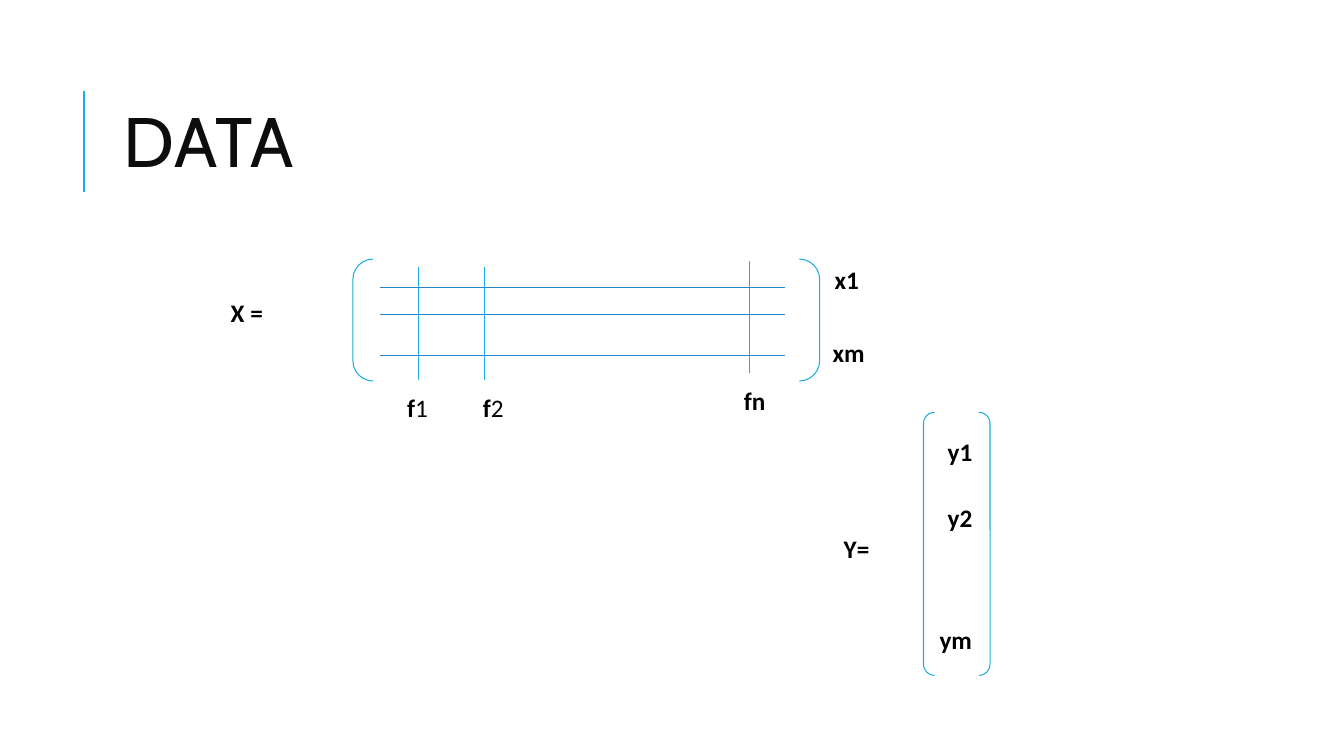
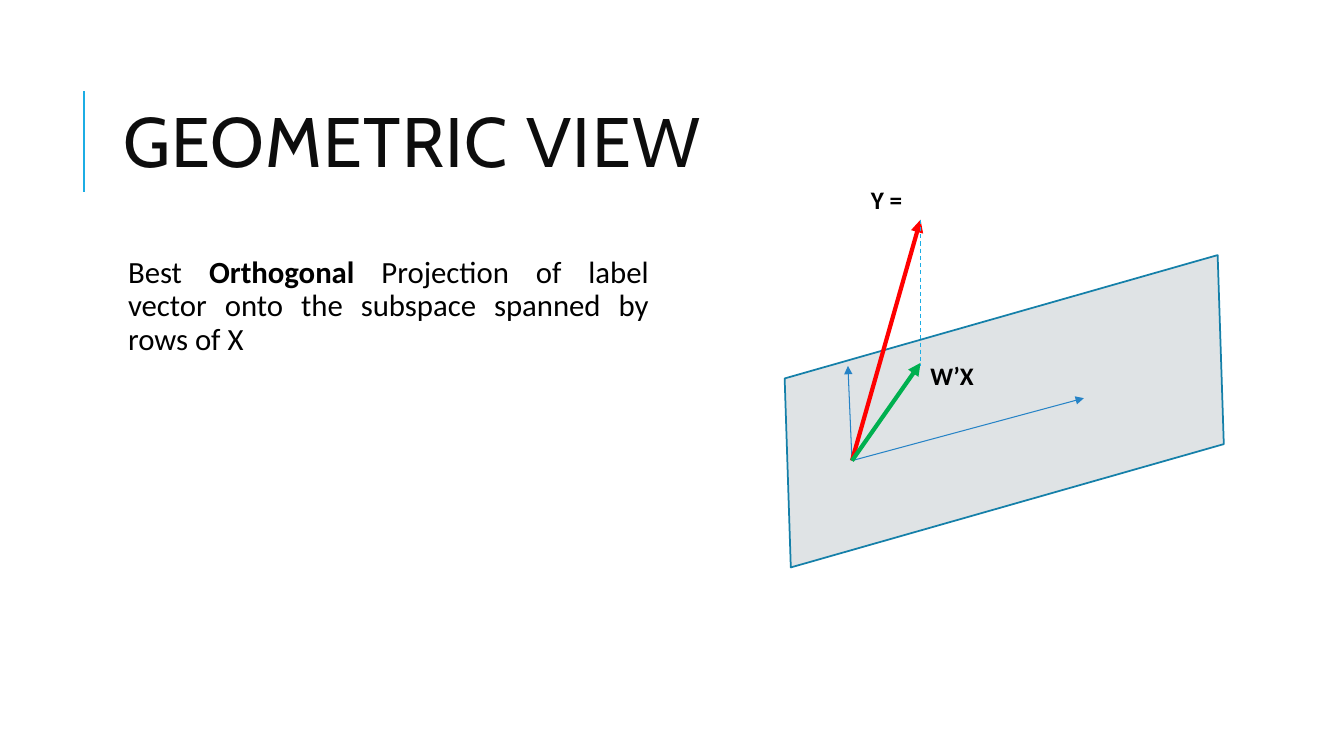
from lxml.etree import SubElement
from pptx import Presentation
from pptx.dml.color import RGBColor
from pptx.enum.dml import MSO_LINE
from pptx.enum.shapes import MSO_CONNECTOR, MSO_SHAPE, PP_PLACEHOLDER
from pptx.enum.text import MSO_ANCHOR, MSO_AUTO_SIZE, PP_ALIGN
from pptx.oxml.ns import qn
from pptx.util import Pt

EMU_PER_PX = 9144
CYAN = RGBColor(0x1C, 0xAD, 0xE4)
BLUE = RGBColor(0x26, 0x83, 0xC6)
TEAL = RGBColor(0x15, 0x80, 0xA9)
RED = RGBColor(0xFF, 0x00, 0x00)
GREEN = RGBColor(0x00, 0xB0, 0x50)
PALE_GREY = RGBColor(0xDF, 0xE3, 0xE5)
NEAR_BLACK = RGBColor(0x0D, 0x0D, 0x0D)
BLACK = RGBColor(0x00, 0x00, 0x00)
TITLE_FONT = "Cabin"
TEXT_FONT = "Calibri"
TITLE_FRAME = (112, 64, 1063, 164)
BODY_FRAME = (112, 250, 1063, 440)
LABEL_HEIGHT = 40


def px(length):
    return int(length * EMU_PER_PX)


def place(shape, frame):
    shape.left, shape.top, shape.width, shape.height = map(px, frame)


def write(para, *spans, font=TEXT_FONT, size=18, color=BLACK, spacing=0):
    for text, bold in spans:
        span = para.add_run()
        span.text = text
        span.font.name = font
        span.font.size = Pt(size)
        span.font.bold = bold
        span.font.color.rgb = color
        if spacing:
            span._r.get_or_add_rPr().set("spc", str(spacing * 100))


def add_label(page, left, top, width, *spans):
    box = page.shapes.add_textbox(*map(px, (left, top, width, LABEL_HEIGHT)))
    box.text_frame.word_wrap = True
    box.text_frame.auto_size = MSO_AUTO_SIZE.SHAPE_TO_FIT_TEXT
    write(box.text_frame.paragraphs[0], *spans)


def add_line(page, start, end, color=CYAN, weight=0.75, dashed=False, arrow=False):
    line = page.shapes.add_connector(MSO_CONNECTOR.STRAIGHT, *map(px, start + end))
    line.line.color.rgb = color
    line.line.width = Pt(weight)
    if dashed:
        line.line.dash_style = MSO_LINE.DASH
    properties = line.element.spPr
    if arrow:
        SubElement(properties.find(qn("a:ln")), qn("a:tailEnd"), type="triangle")
    SubElement(properties, qn("a:effectLst"))
    return line


def add_outline(page, kind, frame, color=CYAN, weight=0.75, fill=None, rotation=0):
    shape = page.shapes.add_shape(kind, *map(px, frame))
    shape.shadow.inherit = False
    shape.rotation = rotation
    shape.line.color.rgb = color
    shape.line.width = Pt(weight)
    if fill is None:
        shape.fill.background()
    else:
        shape.fill.solid()
        shape.fill.fore_color.rgb = fill


def add_page(deck, layout_name, title):
    page = deck.slides.add_slide(deck.slide_layouts.get_by_name(layout_name))
    frame = page.shapes.title.text_frame
    frame.auto_size = MSO_AUTO_SIZE.NONE
    frame.vertical_anchor = MSO_ANCHOR.MIDDLE
    para = frame.paragraphs[0]
    para.alignment = PP_ALIGN.LEFT
    para.line_spacing = 0.8
    write(para, (title, False), font=TITLE_FONT, size=50, color=NEAR_BLACK, spacing=1)
    return page


def fill_body(page, *spans):
    frame = page.placeholders[1].text_frame
    frame.auto_size = MSO_AUTO_SIZE.NONE
    frame.margin_left = frame.margin_top = px(5)
    frame.margin_right = frame.margin_bottom = px(5)
    frame._txBody.bodyPr.set("numCol", "2")
    para = frame.paragraphs[0]
    para.alignment = PP_ALIGN.JUSTIFY
    para.line_spacing = 0.9
    para.space_before = Pt(12)
    para.space_after = Pt(2)
    properties = para._p.get_or_add_pPr()
    properties.set("marL", str(px(10)))
    properties.set("indent", str(px(-10)))
    bullet_color = SubElement(properties, qn("a:buClr"))
    SubElement(bullet_color, qn("a:srgbClr"), val=str(CYAN))
    SubElement(properties, qn("a:buChar"), char=" ")
    write(para, *spans, size=22)


def style_master(deck, page):
    master = deck.slide_master
    place(master.placeholders.get(PP_PLACEHOLDER.TITLE), TITLE_FRAME)
    place(master.placeholders.get(PP_PLACEHOLDER.BODY), BODY_FRAME)
    accent = add_line(page, (83, 190), (83, 90), weight=1.5)
    master.shapes.element.append(accent.element)


def draw_data(page):
    add_outline(page, MSO_SHAPE.DOUBLE_BRACKET, (350, 257, 463, 121))
    for x, top, bottom in ((415, 265, 377), (481, 265, 377), (743, 259, 370)):
        add_line(page, (x, top), (x, bottom))
    for y in (285, 312, 353):
        add_line(page, (377, y), (779, y), color=BLUE)
    for left, index in ((394, "1"), (469, "2")):
        add_label(page, left, 384, 52, ("f", True), (index, False))

    add_outline(page, MSO_SHAPE.DOUBLE_BRACKET, (916, 409, 66, 261))
    for left, top, width, text in (
        (728, 377, 52, "fn"),
        (219, 290, 73, "X ="),
        (818, 257, 52, "x1"),
        (816, 330, 75, "xm"),
        (930, 428, 52, "y1"),
        (930, 493, 52, "y2"),
        (922, 614, 55, "ym"),
        (827, 524, 104, "Y="),
    ):
        add_label(page, left, top, width, (text, True))


def draw_projection(page):
    add_outline(page, MSO_SHAPE.PARALLELOGRAM, (750, 317, 492, 182),
                color=TEAL, weight=1.25, fill=PALE_GREY, rotation=344.1)
    origin, label_tip = (845, 457), (913, 218)
    for tip, color, weight in (
        ((841, 363), BLUE, 0.75),
        ((1075, 395), BLUE, 0.75),
        (label_tip, RED, 3),
        ((913, 360), GREEN, 3),
    ):
        add_line(page, origin, tip, color=color, weight=weight, arrow=True)
    add_line(page, label_tip, (913, 363), dashed=True)
    add_label(page, 854, 178, 99, ("Y =", True))
    add_label(page, 913, 353, 81, ("W’X", True))


def main():
    deck = Presentation()
    deck.slide_width, deck.slide_height = px(1333), px(750)

    data = add_page(deck, "Title Only", "DATA")
    style_master(deck, data)
    draw_data(data)

    geometry = add_page(deck, "Title and Content", "GEOMETRIC VIEW")
    fill_body(
        geometry,
        ("Best ", False),
        ("Orthogonal", True),
        (" Projection of label vector onto the subspace spanned by rows of X", False),
    )
    draw_projection(geometry)

    deck.save("out.pptx")


if __name__ == "__main__":
    main()
